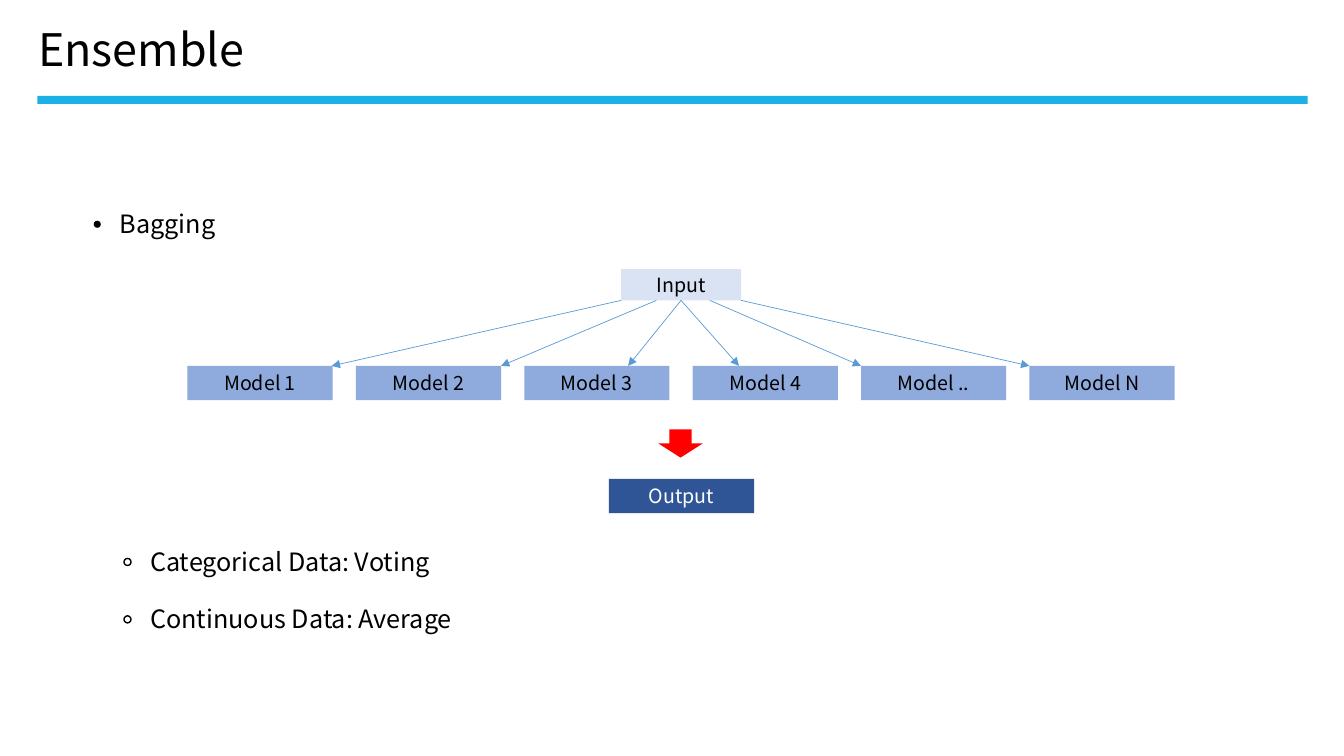
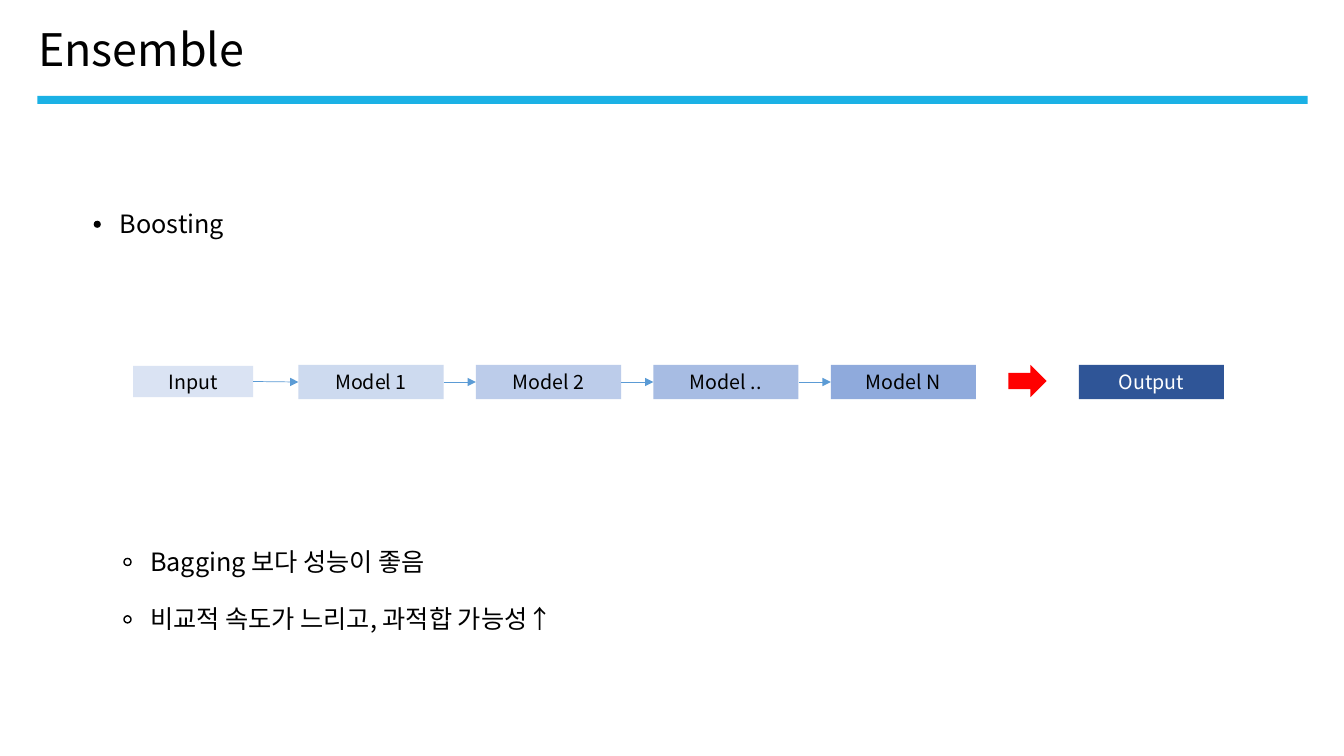
"""Build two slides that explain the bagging and boosting ensembles."""
from dataclasses import dataclass
from itertools import pairwise

from lxml.etree import SubElement
from pptx import Presentation
from pptx.dml.color import RGBColor
from pptx.enum.shapes import MSO_CONNECTOR, MSO_SHAPE
from pptx.enum.text import MSO_ANCHOR, PP_ALIGN
from pptx.oxml.ns import qn
from pptx.util import Emu, Pt

PX = 9144
FONT = "Noto Sans CJK KR"
BLACK = RGBColor(0x00, 0x00, 0x00)
WHITE = RGBColor(0xFF, 0xFF, 0xFF)
CYAN = RGBColor(0x1B, 0xB1, 0xE5)
RED = RGBColor(0xFF, 0x00, 0x00)
PALE = RGBColor(0xDA, 0xE3, 0xF3)
BLUE = RGBColor(0x8F, 0xAA, 0xDC)
NAVY = RGBColor(0x2F, 0x55, 0x97)
LINK = RGBColor(0x5B, 0x9B, 0xD5)
SHADES = (RGBColor(0xCD, 0xDA, 0xEF), RGBColor(0xBC, 0xCC, 0xEA),
          RGBColor(0xA7, 0xBC, 0xE3), BLUE)
BOX_W, BOX_H = 144, 34
INPUT_W, INPUT_H = 119, 31


@dataclass(frozen=True)
class Box:
    """A labelled rectangle of a diagram, in px."""
    text: str
    x: int
    y: int
    fill: RGBColor
    w: int = BOX_W
    h: int = BOX_H
    color: RGBColor = BLACK


@dataclass(frozen=True)
class Bullet:
    """A line of text with a round mark, in px."""
    text: str
    x: int
    y: int
    hollow: bool = True


def px(*values: int) -> list[Emu]:
    """Turn px lengths into EMU."""
    return [Emu(v * PX) for v in values]


def set_text(sp, text: str, size: int, color: RGBColor = BLACK,
             align=PP_ALIGN.LEFT, inset: int = 10) -> None:
    """Write one formatted line into a shape."""
    tf = sp.text_frame
    side = Emu(inset * PX)
    frame = {"word_wrap": True, "vertical_anchor": MSO_ANCHOR.MIDDLE,
             "margin_left": side, "margin_right": side,
             "margin_top": 0, "margin_bottom": 0}
    for key, value in frame.items():
        setattr(tf, key, value)
    p = tf.paragraphs[0]
    p.alignment = align
    r = p.add_run()
    r.text = text
    for key, value in {"size": Pt(size), "name": FONT}.items():
        setattr(r.font, key, value)
    r.font.color.rgb = color
    SubElement(r.font._element, qn("a:ea"), typeface=FONT)


def add_label(s, text: str, x: int, y: int, w: int, h: int, size: int) -> None:
    """Add a line of free text."""
    set_text(s.shapes.add_textbox(*px(x, y, w, h)), text, size)


def add_solid(s, kind, x: int, y: int, w: int, h: int, fill: RGBColor):
    """Add a flat preset shape without an outline."""
    sp = s.shapes.add_shape(kind, *px(x, y, w, h))
    sp.shadow.inherit = False
    sp.fill.solid()
    sp.fill.fore_color.rgb = fill
    sp.line.fill.background()
    return sp


def add_box(s, box: Box):
    """Add a labelled rectangle."""
    sp = add_solid(s, MSO_SHAPE.RECTANGLE, box.x, box.y, box.w, box.h, box.fill)
    set_text(sp, box.text, 14, box.color, PP_ALIGN.CENTER, 0)
    return sp


def add_bullet(s, item: Bullet) -> None:
    """Add a line of text and its round mark."""
    add_label(s, item.text, item.x, item.y, 785, 40, 18)
    dot = add_solid(s, MSO_SHAPE.OVAL, item.x - 16, item.y + 17, 7, 7,
                    WHITE if item.hollow else BLACK)
    if item.hollow:
        dot.line.color.rgb = BLACK
        dot.line.width = Pt(1)


def add_arrow(s, x1: int, y1: int, x2: int, y2: int):
    """Add a thin line with an arrowhead at its end."""
    c = s.shapes.add_connector(MSO_CONNECTOR.STRAIGHT, *px(x1, y1, x2, y2))
    c.line.color.rgb = LINK
    c.line.width = Pt(0.5)
    SubElement(c.line._get_or_add_ln(), qn("a:tailEnd"), type="triangle")
    SubElement(c._element.spPr, qn("a:effectLst"))
    return c


def add_page(prs, topic: str, notes: tuple[str, str]):
    """Add a slide with the shared title, band and bullets."""
    s = prs.slides.add_slide(prs.slide_layouts[6])
    add_label(s, "Ensemble", 28, 16, 639, 64, 32)
    add_solid(s, MSO_SHAPE.RECTANGLE, 37, 95, 1260, 8, CYAN)
    add_bullet(s, Bullet(topic, 109, 202, hollow=False))
    for i, note in enumerate(notes):
        add_bullet(s, Bullet(note, 139, 537 + 57 * i))
    return s


def add_bagging(prs) -> None:
    """Draw the models side by side."""
    s = add_page(prs, "Bagging",
                 ("Categorical Data: Voting", "Continuous Data: Average"))
    source = add_box(s, Box("Input", 616, 267, PALE, INPUT_W, INPUT_H))
    names = ("Model 1", "Model 2", "Model 3", "Model 4", "Model ..", "Model N")
    for i, name in enumerate(names):
        add_box(s, Box(name, 186 + 167 * i, 363, BLUE))
    ends = ((616, 329), (651, 497), (676, 623),
            (676, 733), (704, 854), (735, 1021))
    for x1, x2 in ends:
        c = add_arrow(s, x1, 298, x2, 363)
        if x1 == 676:
            c.begin_connect(source, 2)
    add_solid(s, MSO_SHAPE.DOWN_ARROW, 653, 426, 44, 28, RED)
    add_box(s, Box("Output", 604, 475, NAVY, color=WHITE))


def add_boosting(prs) -> None:
    """Draw the models one after another."""
    s = add_page(prs, "Boosting", ("Bagging 보다 성능이 좋음",
                                   "비교적 속도가 느리고, 과적합 가능성↑"))
    boxes = [Box("Input", 132, 363, PALE, INPUT_W, INPUT_H)]
    names = ("Model 1", "Model 2", "Model ..", "Model N")
    for i, (name, shade) in enumerate(zip(names, SHADES)):
        boxes.append(Box(name, 296 + 176 * i, 362, shade))
    chain = [(box, add_box(s, box)) for box in boxes]
    for (a, left), (b, right) in pairwise(chain):
        c = add_arrow(s, a.x + a.w, 379, b.x, 379)
        c.begin_connect(left, 3)
        c.end_connect(right, 1)
    add_solid(s, MSO_SHAPE.RIGHT_ARROW, 1000, 362, 38, 32, RED)
    add_box(s, Box("Output", 1070, 362, NAVY, color=WHITE))


def main() -> None:
    """Build and save the presentation."""
    prs = Presentation()
    prs.slide_width, prs.slide_height = px(1333, 750)
    add_bagging(prs)
    add_boosting(prs)
    prs.save("out.pptx")


if __name__ == "__main__":
    main()
